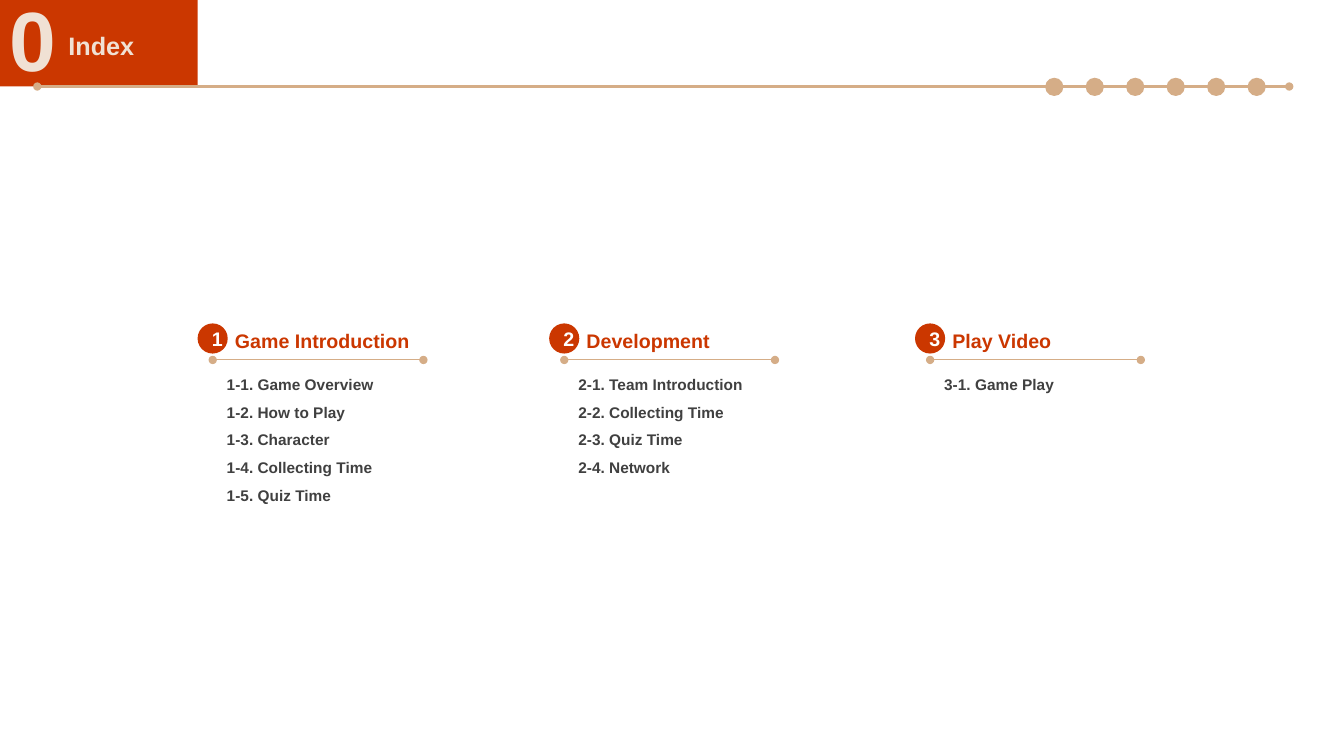
from dataclasses import dataclass

from lxml.etree import SubElement
from pptx import Presentation
from pptx.dml.color import RGBColor
from pptx.enum.shapes import MSO_CONNECTOR, MSO_SHAPE
from pptx.enum.text import MSO_ANCHOR, MSO_AUTO_SIZE, PP_ALIGN
from pptx.oxml.ns import qn
from pptx.util import Cm, Pt

RED, TAN, CREAM, GREY, WHITE = "CB3700", "D5AD87", "F0E1D4", "404040", "FFFFFF"
HEADER_LINE_Y = 2.18
SECTION_TOP = 8.15
BADGE_SIZE = 0.76


@dataclass
class Section:
    left: float
    heading: str
    heading_width: float
    items: list[str]
    list_width: float


SECTIONS = [
    Section(4.98, "Game Introduction", 5.0,
            ["Game Overview", "How to Play", "Character", "Collecting Time", "Quiz Time"], 4.29),
    Section(13.84, "Development", 3.68,
            ["Team Introduction", "Collecting Time", "Quiz Time", "Network"], 4.85),
    Section(23.06, "Play Video", 3.05, ["Game Play"], 3.35),
]


def color(hex_value: str) -> RGBColor:
    return RGBColor.from_string(hex_value)


def place(sp, left: float, top: float, width: float, height: float) -> None:
    sp.left, sp.top, sp.width, sp.height = Cm(left), Cm(top), Cm(width), Cm(height)


def style(p, size: float, hex_value: str) -> None:
    p.font.name = "Arial"
    p.font.size = Pt(size)
    p.font.bold = True
    p.font.color.rgb = color(hex_value)


def set_text(sp, text: str, size: float, hex_value: str, wrap: bool = False,
             anchor: MSO_ANCHOR = MSO_ANCHOR.TOP, align: PP_ALIGN = PP_ALIGN.LEFT) -> None:
    tf = sp.text_frame
    tf.text = text
    tf.word_wrap = wrap
    tf.auto_size = MSO_AUTO_SIZE.NONE
    tf.vertical_anchor = anchor
    for p in tf.paragraphs:
        p.alignment = align
        style(p, size, hex_value)


def add_filled(slide, kind: MSO_SHAPE, left: float, top: float, width: float, height: float,
               fill: str):
    sp = slide.shapes.add_shape(kind, Cm(left), Cm(top), Cm(width), Cm(height))
    sp.shadow.inherit = False
    sp.fill.solid()
    sp.fill.fore_color.rgb = color(fill)
    sp.line.fill.background()
    return sp


def add_label(slide, text: str, left: float, top: float, width: float, height: float,
              size: float, hex_value: str, wrap: bool = False) -> None:
    sp = slide.shapes.add_textbox(Cm(left), Cm(top), Cm(width), Cm(height))
    set_text(sp, text, size, hex_value, wrap)


def add_dotted_end_line(slide, x1: float, x2: float, y: float, weight: float) -> None:
    """Draw a horizontal line with an oval at each end."""
    line = slide.shapes.add_connector(MSO_CONNECTOR.STRAIGHT, Cm(x1), Cm(y), Cm(x2), Cm(y))
    line.line.color.rgb = color(TAN)
    line.line.width = Pt(weight)
    ln = line.line._get_or_add_ln()
    for end in ("a:headEnd", "a:tailEnd"):
        SubElement(ln, qn(end), type="oval")
    SubElement(ln.getparent(), qn("a:effectLst"))


def fill_list(sp, number: int, section: Section) -> None:
    items = [f"{number}-{i}. {item}" for i, item in enumerate(section.items, 1)]
    place(sp, section.left + 0.48, 9.09, section.list_width, 0.16 + 0.7 * len(items))
    set_text(sp, "\n".join(items), 11, GREY)
    for p in sp.text_frame.paragraphs:
        pPr = p._p.get_or_add_pPr()
        pPr.set("marL", "0")
        pPr.set("indent", "0")
        pPr.insert(0, pPr.makeelement(qn("a:buNone"), {}))
        p.line_spacing = 1.5
        p.space_before = Pt(0)


def add_header(slide) -> None:
    banner = add_filled(slide, MSO_SHAPE.RECTANGLE, 0, 0, 4.98, HEADER_LINE_Y, RED)
    slide.shapes._spTree.insert(2, banner._element)
    add_label(slide, "0", 0, -0.43, 0.89, 2.82, 60, CREAM, wrap=True)
    place(slide.shapes.title, 1.47, 0.64, 2.21, 1.02)
    set_text(slide.shapes.title, "Index", 18, CREAM)
    add_dotted_end_line(slide, 0.94, 32.49, HEADER_LINE_Y, 1.5)
    for i in range(6):
        add_filled(slide, MSO_SHAPE.OVAL, 26.34 + 1.02 * i, 1.96, 0.46, 0.46, TAN)


def add_section(slide, number: int, section: Section, body) -> None:
    left = section.left
    add_label(slide, section.heading, left + 0.69, SECTION_TOP + 0.02,
              section.heading_width, 0.86, 14, RED)
    badge = add_filled(slide, MSO_SHAPE.OVAL, left, SECTION_TOP, BADGE_SIZE, BADGE_SIZE, RED)
    set_text(badge, str(number), 14, WHITE, True, MSO_ANCHOR.MIDDLE, PP_ALIGN.CENTER)
    add_dotted_end_line(slide, left + 0.38, left + 5.69, 9.07, 0.75)
    fill_list(body, number, section)


def main() -> None:
    prs = Presentation()
    prs.slide_width, prs.slide_height = Cm(33.87), Cm(19.05)
    slide = prs.slides.add_slide(prs.slide_layouts.get_by_name("Comparison"))
    _, *bodies, spare = slide.placeholders
    spare._element.getparent().remove(spare._element)

    add_header(slide)
    for number, (section, body) in enumerate(zip(SECTIONS, bodies), 1):
        add_section(slide, number, section, body)
    prs.save("out.pptx")


if __name__ == "__main__":
    main()
